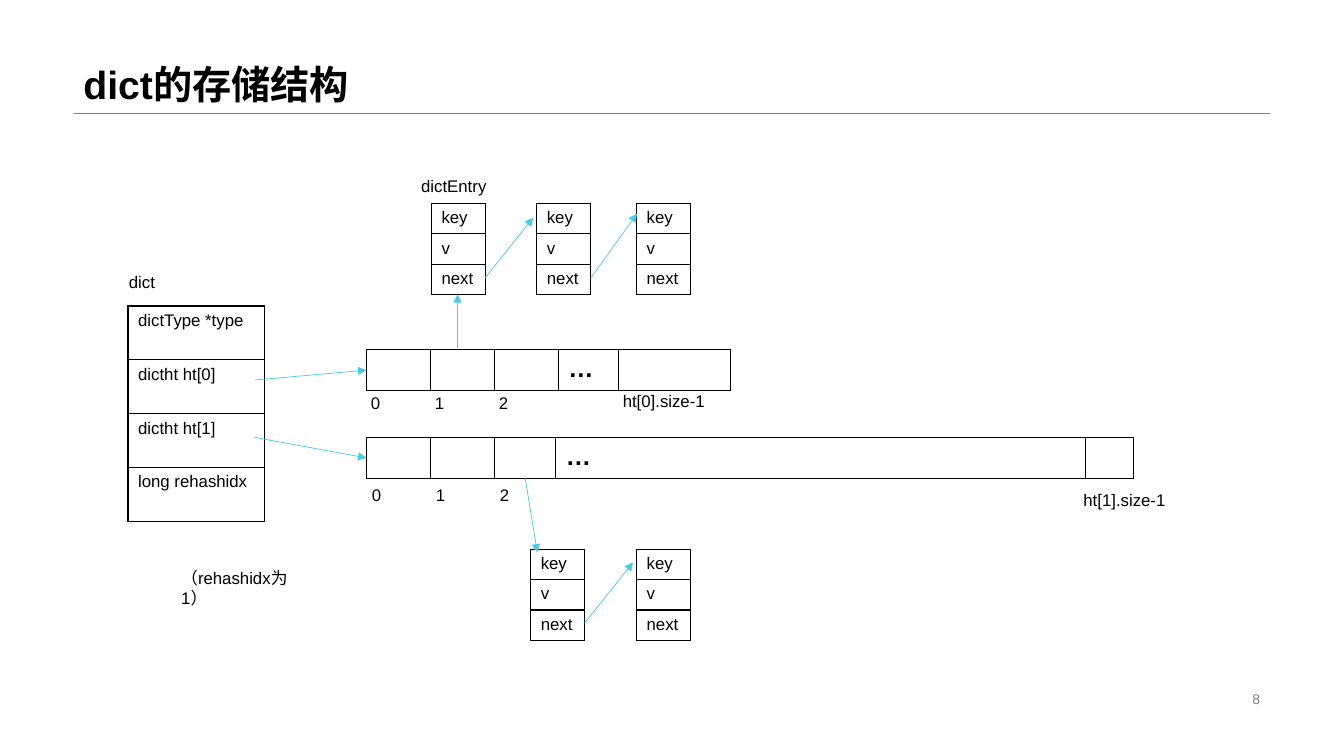
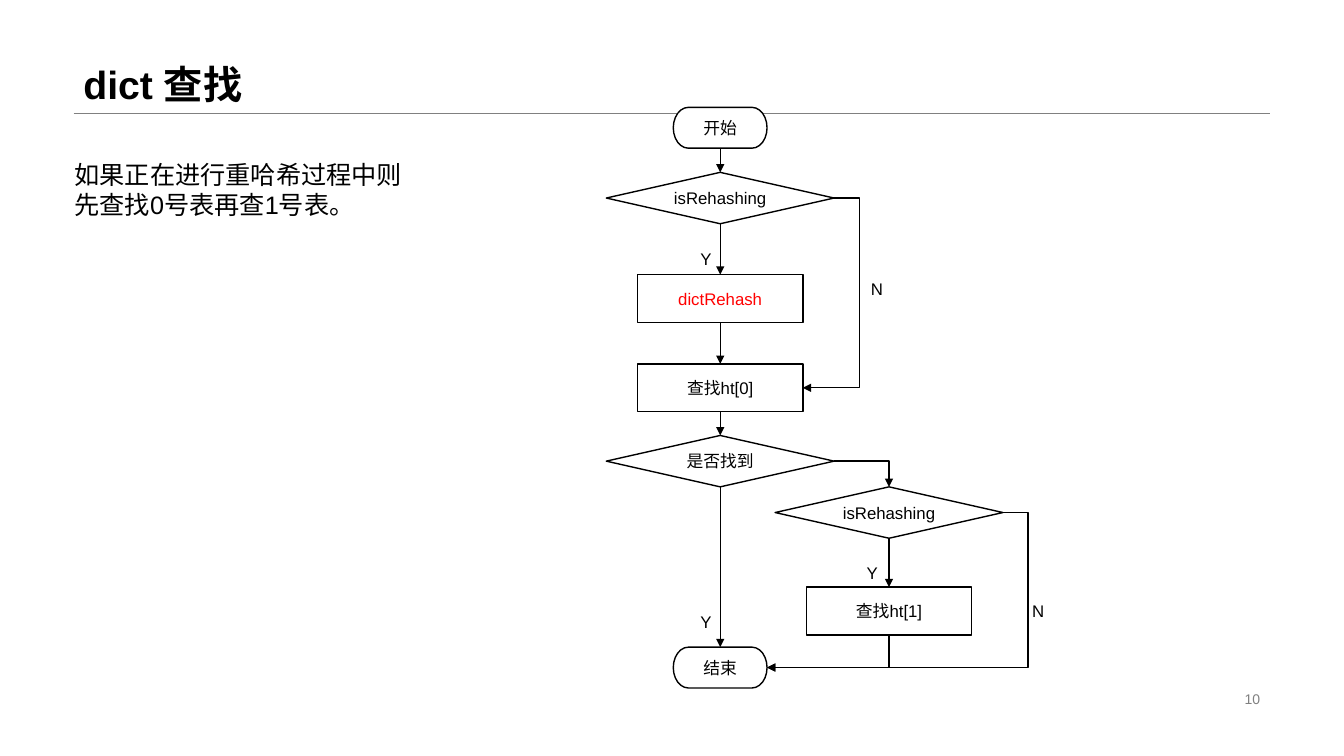
"""Build two slides on the storage layout and lookup flow of a dict."""
import dataclasses
import typing

import lxml.etree
import pptx
import pptx.dml.color
import pptx.enum.shapes
import pptx.enum.text
import pptx.oxml.ns
import pptx.presentation
import pptx.shapes.autoshape
import pptx.shapes.connector
import pptx.shapes.graphfrm
import pptx.slide
import pptx.text.text
import pptx.util

SHAPE = pptx.enum.shapes.MSO_SHAPE
CONNECTOR = pptx.enum.shapes.MSO_CONNECTOR
ALIGN = pptx.enum.text.PP_ALIGN
ANCHOR = pptx.enum.text.MSO_ANCHOR
qn = pptx.oxml.ns.qn

BLACK = pptx.dml.color.RGBColor(0x00, 0x00, 0x00)
WHITE = pptx.dml.color.RGBColor(0xFF, 0xFF, 0xFF)
GRAY = pptx.dml.color.RGBColor(0x80, 0x80, 0x80)
RED = pptx.dml.color.RGBColor(0xFF, 0x00, 0x00)
CYAN = pptx.dml.color.RGBColor(0x44, 0xCC, 0xEA)

FONT = "Arial"
CELLS_PER_INCH = 10
SLIDE_COLUMNS, SLIDE_ROWS = 133.33, 75
MARGIN_LEFT, MARGIN_RIGHT, TITLE_BOTTOM = 7.3, 126, 11.2
TOP, LEFT, BOTTOM, RIGHT = range(4)
LABEL_HEIGHT = 3
ENTRY_ROW = 2.88
ENTRY_WIDTH = 5.35
BUCKET_STEP = 6.35
LOOP_REACH = 2.5
CENTER, BRANCH = 71.45, 88.2


@dataclasses.dataclass(frozen=True)
class Label:
    """Text with its place on the grid and its style."""

    text: str
    left: float
    top: float
    width: float
    height: float = LABEL_HEIGHT
    size: float = 12
    color: pptx.dml.color.RGBColor = BLACK
    bold: bool = False
    align: ALIGN = ALIGN.LEFT
    anchor: ANCHOR = ANCHOR.TOP
    spacing: float = 1.0


@dataclasses.dataclass(frozen=True)
class Grid:
    """A bordered table with its place, column widths and row height."""

    left: float
    top: float
    columns: list[float]
    row_height: float
    rows: list[list[str]]
    size: float = 12
    bold: bool = False


@dataclasses.dataclass(frozen=True)
class Node:
    """A flowchart step centred on a grid column."""

    kind: SHAPE
    text: str
    center: float
    top: float
    color: pptx.dml.color.RGBColor = BLACK


class Link(typing.NamedTuple):
    """An arrow between the sides of two flowchart steps."""

    begin: str
    begin_side: int
    end: str
    end_side: int
    geometry: str = "line"
    arrow: str = "tailEnd"


NODE_SIZES = {
    SHAPE.FLOWCHART_TERMINATOR: (9.3, 4.05),
    SHAPE.FLOWCHART_DECISION: (22.6, 5.1),
    SHAPE.FLOWCHART_PROCESS: (16.4, 4.75),
}


def cells(count: float) -> pptx.util.Emu:
    return pptx.util.Inches(count / CELLS_PER_INCH)


def style_paragraph(paragraph: pptx.text.text._Paragraph, size: float,
                    color: pptx.dml.color.RGBColor, bold: bool = False) -> None:
    font = paragraph.font
    font.name, font.size, font.bold = FONT, pptx.util.Pt(size), bold
    font.color.rgb = color


def add_label(slide: pptx.slide.Slide, label: Label) -> None:
    box = slide.shapes.add_textbox(*map(cells, (label.left, label.top, label.width, label.height)))
    frame = box.text_frame
    frame.word_wrap = True
    frame.vertical_anchor = label.anchor
    paragraph = frame.paragraphs[0]
    paragraph.text = label.text
    paragraph.alignment = label.align
    paragraph.line_spacing = label.spacing
    style_paragraph(paragraph, label.size, label.color, label.bold)


def add_border(cell: typing.Any) -> None:
    properties = cell._tc.get_or_add_tcPr()
    for position, side in enumerate(("lnL", "lnR", "lnT", "lnB")):
        line = lxml.etree.Element(qn(f"a:{side}"), w=str(pptx.util.Pt(1)))
        fill = lxml.etree.SubElement(line, qn("a:solidFill"))
        lxml.etree.SubElement(fill, qn("a:srgbClr"), val=str(BLACK))
        properties.insert(position, line)


def add_grid(slide: pptx.slide.Slide, grid: Grid) -> pptx.shapes.graphfrm.GraphicFrame:
    height = grid.row_height * len(grid.rows)
    frame = slide.shapes.add_table(
        len(grid.rows), len(grid.columns),
        *map(cells, (grid.left, grid.top, sum(grid.columns), height)))
    table = frame.table
    table.first_row = table.horz_banding = False
    for column, width in zip(table.columns, grid.columns):
        column.width = cells(width)
    for row, texts in zip(table.rows, grid.rows):
        row.height = cells(grid.row_height)
        for cell, text in zip(row.cells, texts):
            cell.text = text
            cell.fill.background()
            add_border(cell)
            style_paragraph(cell.text_frame.paragraphs[0], grid.size, BLACK, grid.bold)
    return frame


def add_line(slide: pptx.slide.Slide, points: tuple[float, float, float, float],
             color: pptx.dml.color.RGBColor, width: float, arrow: str = "",
             kind: CONNECTOR = CONNECTOR.STRAIGHT) -> pptx.shapes.connector.Connector:
    connector = slide.shapes.add_connector(kind, *map(cells, points))
    connector.line.color.rgb = color
    connector.line.width = pptx.util.Pt(width)
    properties = connector.element.spPr
    if arrow:
        outline = properties.find(qn("a:ln"))
        lxml.etree.SubElement(outline, qn(f"a:{arrow}"), type="triangle")
    lxml.etree.SubElement(properties, qn("a:effectLst"))
    return connector


def add_node(slide: pptx.slide.Slide, node: Node) -> pptx.shapes.autoshape.Shape:
    width, height = NODE_SIZES[node.kind]
    shape = slide.shapes.add_shape(
        node.kind, *map(cells, (node.center - width / 2, node.top, width, height)))
    shape.shadow.inherit = False
    shape.fill.solid()
    shape.fill.fore_color.rgb = WHITE
    shape.line.color.rgb = BLACK
    shape.line.width = pptx.util.Pt(1)
    frame = shape.text_frame
    frame.margin_left = frame.margin_right = 0
    frame.vertical_anchor = ANCHOR.MIDDLE
    paragraph = frame.paragraphs[0]
    paragraph.text = node.text
    paragraph.alignment = ALIGN.CENTER
    style_paragraph(paragraph, 12, node.color)
    return shape


def add_link(slide: pptx.slide.Slide, link: Link,
             shapes: dict[str, pptx.shapes.autoshape.Shape]) -> None:
    kind = CONNECTOR.STRAIGHT if link.geometry == "line" else CONNECTOR.ELBOW
    connector = add_line(slide, (0, 0, 0, 0), BLACK, 1, link.arrow, kind)
    connector.begin_connect(shapes[link.begin], link.begin_side)
    connector.end_connect(shapes[link.end], link.end_side)
    geometry = connector.element.spPr.find(qn("a:prstGeom"))
    geometry.set("prst", link.geometry)
    if link.geometry == "bentConnector3":
        share = -round(100000 * cells(LOOP_REACH) / connector.width)
        lxml.etree.SubElement(geometry.find(qn("a:avLst")), qn("a:gd"),
                              name="adj1", fmla=f"val {share}")


def add_page(presentation: pptx.presentation.Presentation, title: str,
             number: int) -> pptx.slide.Slide:
    slide = presentation.slides.add_slide(presentation.slide_layouts[6])
    add_line(slide, (MARGIN_LEFT, TITLE_BOTTOM, MARGIN_RIGHT, TITLE_BOTTOM), GRAY, 0.25)
    add_label(slide, Label(title, MARGIN_LEFT, 0, MARGIN_RIGHT - MARGIN_LEFT, TITLE_BOTTOM,
                           size=28, bold=True, anchor=ANCHOR.BOTTOM, spacing=0.9))
    add_label(slide, Label(str(number), MARGIN_RIGHT - 31.8, 68.2, 31.8, 2.3, size=10,
                           color=GRAY, align=ALIGN.RIGHT, anchor=ANCHOR.MIDDLE))
    return slide


def build_storage(presentation: pptx.presentation.Presentation) -> None:
    slide = add_page(presentation, "dict的存储结构", 8)
    fields = ["dictType *type", "dictht ht[0]", "dictht ht[1]", "long rehashidx"]
    add_grid(slide, Grid(12.7, 30.35, [13.55], 5.35, [[field] for field in fields]))

    bucket_cells = [["", "", "", "…", ""]]
    arrays = [
        (Grid(36.35, 34.7, [6.35, 6.35, 6.35, 5.95, 11.1], 4.05, bucket_cells, 18, True), 37.7),
        (Grid(36.35, 43.4, [6.35, 6.4, 6.05, 52.55, 4.8], 4.05, bucket_cells, 18, True), 43.4),
    ]
    for array, field_row in arrays:
        frame = add_grid(slide, array)
        arrow = add_line(slide, (25.3, field_row, 36.35, array.top + 2), CYAN, 0.5, "tailEnd")
        arrow.end_connect(frame, LEFT)

    for left, top in [(42.8, 20.2), (53.25, 20.2), (63.15, 20.2), (52.65, 54.5), (63.15, 54.5)]:
        add_grid(slide, Grid(left, top, [ENTRY_WIDTH], ENTRY_ROW, [["key"], ["v"], ["next"]]))

    for points in [(52.1, 47.4, 53.3, 54.8), (45.4, 34.5, 45.4, 29.2), (48.1, 27.6, 52.9, 21.6),
                   (58.6, 27.6, 63.2, 21.2), (58, 61.8, 62.8, 55.8)]:
        add_line(slide, points, CYAN, 0.5, "tailEnd")

    for left, top in [(35.8, 38.5), (35.9, 47.6)]:
        for index in range(3):
            add_label(slide, Label(str(index), left + index * BUCKET_STEP, top, 5.9))
    for label in [
        Label("dict", 11.8, 26.5, 5.9),
        Label("dictEntry", 40.8, 16.9, 9.3),
        Label("ht[0].size-1", 60.8, 38.3, 11),
        Label("ht[1].size-1", 106.5, 48.1, 11),
        Label("（rehashidx为1）", 17, 55.8, 13.6, 5),
    ]:
        add_label(slide, label)


def build_lookup(presentation: pptx.presentation.Presentation) -> None:
    slide = add_page(presentation, "dict 查找", 10)
    add_label(slide, Label("如果正在进行重哈希过程中则先查找0号表再查1号表。",
                           6.4, 15.3, 36, 7, size=18))
    nodes = {
        "start": Node(SHAPE.FLOWCHART_TERMINATOR, "开始", CENTER, 10.65),
        "rehashing": Node(SHAPE.FLOWCHART_DECISION, "isRehashing", CENTER, 17.1),
        "rehash": Node(SHAPE.FLOWCHART_PROCESS, "dictRehash", CENTER, 27.25, RED),
        "search_0": Node(SHAPE.FLOWCHART_PROCESS, "查找ht[0]", CENTER, 36.1),
        "found": Node(SHAPE.FLOWCHART_DECISION, "是否找到", CENTER, 43.2),
        "still_rehashing": Node(SHAPE.FLOWCHART_DECISION, "isRehashing", BRANCH, 48.3),
        "search_1": Node(SHAPE.FLOWCHART_PROCESS, "查找ht[1]", BRANCH, 58.25),
        "end": Node(SHAPE.FLOWCHART_TERMINATOR, "结束", CENTER, 64.2),
    }
    shapes = {name: add_node(slide, node) for name, node in nodes.items()}
    for link in [
        Link("start", BOTTOM, "rehashing", TOP),
        Link("rehashing", BOTTOM, "rehash", TOP),
        Link("rehash", BOTTOM, "search_0", TOP),
        Link("search_0", BOTTOM, "found", TOP),
        Link("found", BOTTOM, "end", TOP),
        Link("still_rehashing", BOTTOM, "search_1", TOP),
        Link("rehashing", RIGHT, "search_0", RIGHT, "bentConnector3"),
        Link("still_rehashing", RIGHT, "end", RIGHT, "bentConnector3"),
        Link("found", RIGHT, "still_rehashing", TOP, "bentConnector2"),
        Link("end", RIGHT, "search_1", BOTTOM, "bentConnector2", "headEnd"),
    ]:
        add_link(slide, link, shapes)
    for text, left, top in [("Y", 68.5, 24.2), ("N", 85.4, 27.2), ("Y", 68.5, 60.2),
                            ("Y", 85, 55.3), ("N", 101.4, 59.1)]:
        add_label(slide, Label(text, left, top, 3.1))


def main() -> None:
    presentation = pptx.Presentation()
    presentation.slide_width = cells(SLIDE_COLUMNS)
    presentation.slide_height = cells(SLIDE_ROWS)
    build_storage(presentation)
    build_lookup(presentation)
    presentation.save("out.pptx")


if __name__ == "__main__":
    main()
